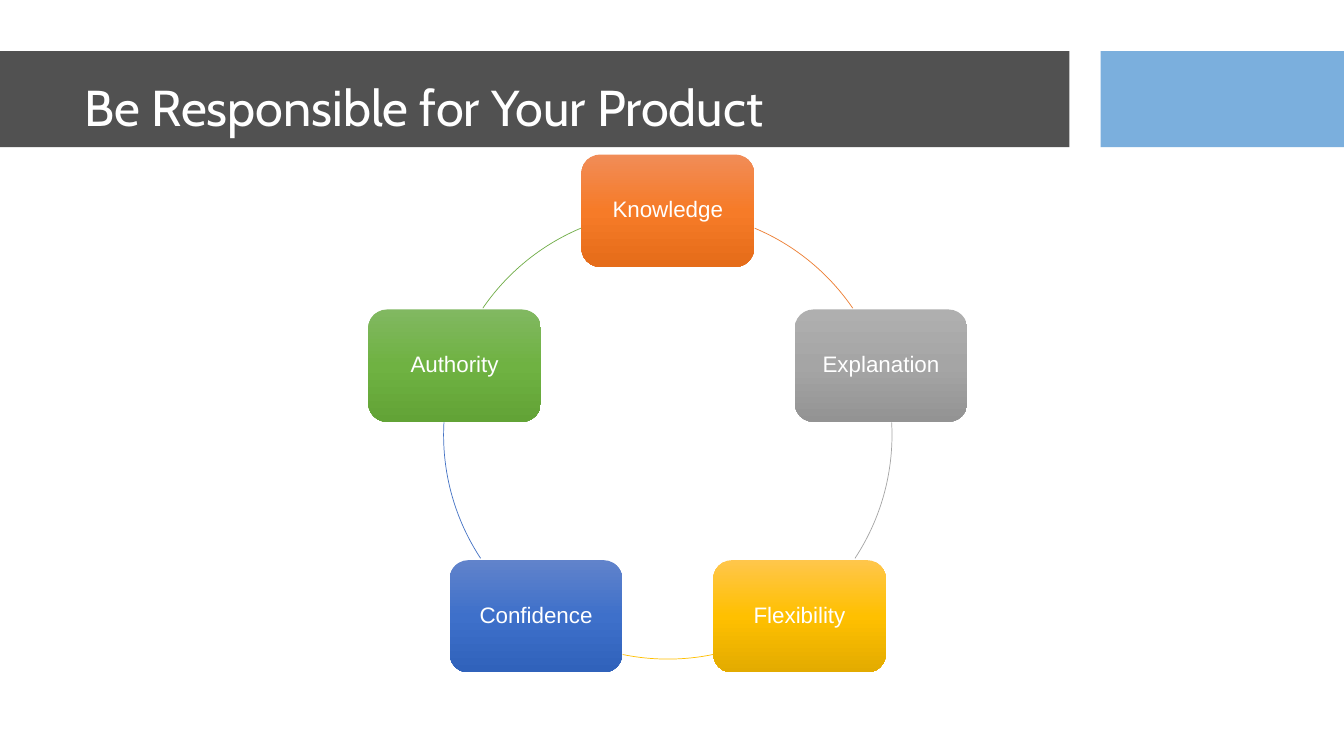
from copy import deepcopy
from dataclasses import dataclass
from math import cos, radians, sin

from lxml.etree import SubElement
from pptx import Presentation
from pptx.dml.color import RGBColor
from pptx.enum.shapes import MSO_SHAPE
from pptx.enum.text import MSO_ANCHOR, PP_ALIGN
from pptx.oxml.ns import qn
from pptx.shapes.autoshape import Shape
from pptx.shapes.shapetree import SlideShapes
from pptx.text.text import TextFrame
from pptx.util import Cm, Pt

WHITE = RGBColor(0xFF, 0xFF, 0xFF)
DARK = RGBColor(0x26, 0x26, 0x26)
BLUE = RGBColor(0x5B, 0x9B, 0xD5)

# Ring centre, ring radius and node size, in centimetres
MID_X, MID_Y, RADIUS = 16.83, 10.96, 5.65
NODE_W, NODE_H = 4.35, 2.83
BAR_TOP, BAR_H = 1.29, 2.42


@dataclass(frozen=True)
class Node:
    label: str
    shades: tuple[RGBColor, RGBColor, RGBColor]  # top, middle, bottom
    line: RGBColor
    start: float  # arc to the next node, degrees clockwise from the right
    end: float


def shades(*codes: str) -> tuple[RGBColor, ...]:
    return tuple(RGBColor.from_string(code) for code in codes)


NODES = [
    Node("Knowledge", shades("F18C57", "F67B28", "E56C19"),
         RGBColor(0xED, 0x7D, 0x31), 292.8, 325.6),
    Node("Explanation", shades("AFAFAF", "A5A5A5", "939393"),
         RGBColor(0xA5, 0xA5, 0xA5), 356.8, 33.4),
    Node("Flexibility", shades("FFC64B", "FFC000", "E3AB00"),
         RGBColor(0xFF, 0xC0, 0x00), 78.4, 101.6),
    Node("Confidence", shades("6183CB", "3E70CA", "3062BB"),
         RGBColor(0x44, 0x72, 0xC4), 146.6, 183.2),
    Node("Authority", shades("81B861", "6FB242", "62A336"),
         RGBColor(0x70, 0xAD, 0x47), 214.4, 247.2),
]


def add_plain(shapes: SlideShapes, kind: MSO_SHAPE, left: float, top: float,
              width: float, height: float) -> Shape:
    """Add a shape without shadow or outline, measured in centimetres."""
    shape = shapes.add_shape(kind, Cm(left), Cm(top), Cm(width), Cm(height))
    shape.shadow.inherit = False
    shape.line.fill.background()
    return shape


def write(frame: TextFrame, text: str, font: str, size: int,
          align: PP_ALIGN) -> None:
    frame.text = text
    frame.word_wrap = True
    frame.vertical_anchor = MSO_ANCHOR.MIDDLE
    para = frame.paragraphs[0]
    para.alignment = align
    para.line_spacing = 0.9
    face = para.runs[0].font
    face.name, face.size = font, Pt(size)
    face.color.rgb = WHITE


def shade(shape: Shape, colors: tuple[RGBColor, ...]) -> None:
    """Fill with an even gradient of three colours from top to bottom."""
    fill = shape.fill
    fill.gradient()
    fill.gradient_angle = 270
    first = shape.element.spPr.find(".//" + qn("a:gs"))
    first.addnext(deepcopy(first))
    for stop, color, place in zip(fill.gradient_stops, colors, (0, 0.5, 1)):
        stop.color.rgb = color
        stop.position = place


def add_node(shapes: SlideShapes, node: Node, angle: float) -> None:
    left = MID_X + RADIUS * cos(radians(angle)) - NODE_W / 2
    top = MID_Y + RADIUS * sin(radians(angle)) - NODE_H / 2
    box = add_plain(shapes, MSO_SHAPE.ROUNDED_RECTANGLE,
                    left, top, NODE_W, NODE_H)
    shade(box, node.shades)
    write(box.text_frame, node.label, "Arial", 16, PP_ALIGN.CENTER)


def add_arc(shapes: SlideShapes, node: Node) -> None:
    arc = add_plain(shapes, MSO_SHAPE.ARC, MID_X - RADIUS, MID_Y - RADIUS,
                    2 * RADIUS, 2 * RADIUS)
    arc.fill.background()
    # Angles are stored in 1/60000 degree, adjustments in 1/100000
    arc.adjustments[0] = node.start * 0.6
    arc.adjustments[1] = node.end * 0.6
    arc.line.color.rgb = node.line
    arc.line.width = Pt(0.5)


def add_bar(shapes: SlideShapes, left: float, width: float,
            color: RGBColor) -> None:
    """Add a header bar at 80% opacity."""
    bar = add_plain(shapes, MSO_SHAPE.RECTANGLE, left, BAR_TOP, width, BAR_H)
    bar.fill.solid()
    bar.fill.fore_color.rgb = color
    tint = bar.element.spPr.find(".//" + qn("a:srgbClr"))
    SubElement(tint, qn("a:alpha")).set("val", "80000")


def main() -> None:
    deck = Presentation()
    deck.slide_width, deck.slide_height = Cm(33.87), Cm(19.05)
    shapes = deck.slides.add_slide(deck.slide_layouts[6]).shapes

    for index, node in enumerate(NODES):
        add_node(shapes, node, 360 / len(NODES) * index - 90)
        add_arc(shapes, node)

    add_bar(shapes, 0, 26.95, DARK)
    add_bar(shapes, 27.74, 6.13, BLUE)
    title = shapes.add_textbox(Cm(1.88), Cm(1.27), Cm(26.7), Cm(3))
    write(title.text_frame, "Be Responsible for Your Product", "Cabin", 36,
          PP_ALIGN.LEFT)
    deck.save("out.pptx")


if __name__ == "__main__":
    main()
